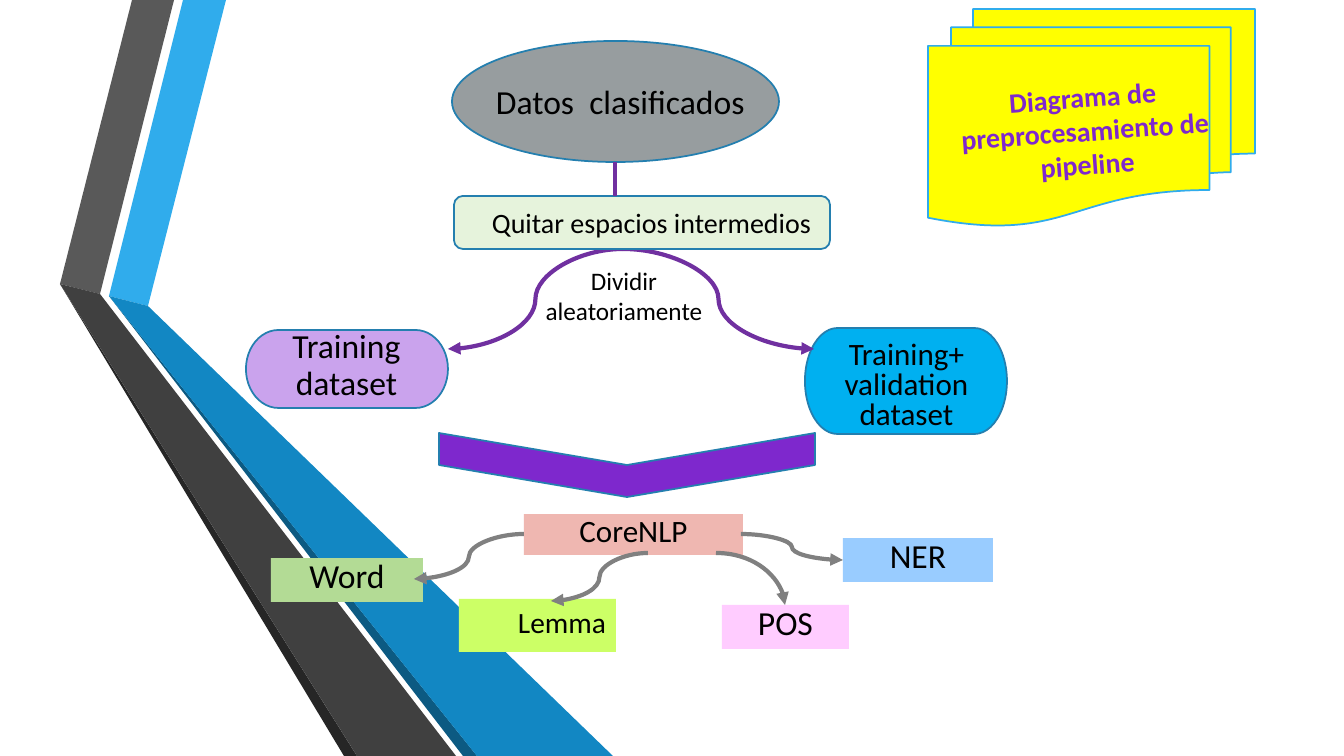
from lxml.etree import SubElement
from pptx import Presentation
from pptx.dml.color import RGBColor
from pptx.enum.shapes import MSO_CONNECTOR as Link, MSO_SHAPE as Shape
from pptx.enum.text import MSO_ANCHOR as Anchor, PP_ALIGN as Align
from pptx.oxml.ns import qn
from pptx.util import Pt

PX = 914400 / 100.8
BORDER = "247FAF"
PURPLE = "7030A0"
GRAY = "808080"

BANDS = [
    ("30ACEC", [(109, 296), (148, 306), (226, 0), (183, 0)]),
    ("595959", [(100, 294), (174, 0), (132, 0), (60, 284)]),
    ("262626", [(60, 284), (344, 756), (357, 756)]),
    ("0C5A82", [(109, 296), (463, 756), (477, 756)]),
    ("1287C3", [(109, 296), (477, 756), (613, 756), (148, 306)]),
    ("404040", [(60, 284), (357, 756), (456, 756), (100, 294)]),
]

STEPS = [
    ("CoreNLP", (524, 514, 219, 41), "EFB7B1", 22.2),
    ("NER", (843, 538, 150, 44), "99CCFF", 24),
    ("POS", (722, 605, 127, 44), "FFCCFF", 24),
    ("Word", (271, 558, 152, 44), "B3DB95", 24),
]


def px(*lengths):
    return [round(length * PX) for length in lengths]


def color(value):
    return RGBColor.from_string(value)


def paint(shape, fill, border=None):
    shape.shadow.inherit = False
    shape.fill.solid()
    shape.fill.fore_color.rgb = color(fill)
    if border:
        shape.line.color.rgb = color(border)
        shape.line.width = Pt(1.25)
    else:
        shape.line.fill.background()
    return shape


def band(slide, fill, points):
    start, *rest = points
    outline = slide.shapes.build_freeform(*start, scale=PX)
    outline.add_line_segments(rest, close=True)
    paint(outline.convert_to_shape(), fill)


def box(slide, kind, place, fill, border=None):
    return paint(slide.shapes.add_shape(kind, *px(*place)), fill, border)


def write(shape, text, size=24, ink="000000", bold=False, align=Align.CENTER,
          spacing=None, before=None, after=None):
    frame = shape.text_frame
    frame.word_wrap = True
    frame.vertical_anchor = Anchor.TOP
    paragraph = frame.paragraphs[0]
    paragraph.alignment = align
    paragraph.line_spacing = spacing
    paragraph.space_before = before
    paragraph.space_after = after
    run = paragraph.add_run()
    run.text = text
    run.font.name = "Calibri"
    run.font.size = Pt(size)
    run.font.bold = bold
    run.font.color.rgb = color(ink)


def label(slide, place, text, **style):
    caption = slide.shapes.add_textbox(*px(*place))
    write(caption, text, **style)
    return caption


def link(slide, kind, ends, ink, arrow=True):
    connector = slide.shapes.add_connector(kind, *px(*ends))
    connector.line.color.rgb = color(ink)
    connector.line.width = Pt(3)
    properties = connector._element.spPr
    if arrow:
        SubElement(properties.find(qn("a:ln")), qn("a:tailEnd"), type="triangle")
    SubElement(properties, qn("a:effectLst"))
    return connector


def draw_split(slide):
    box(slide, Shape.OVAL, (452, 41, 327, 121), "979D9F", BORDER)
    box(slide, Shape.FLOWCHART_TERMINATOR, (805, 328, 202, 106), "00B0F0", BORDER)
    box(slide, Shape.FLOWCHART_TERMINATOR, (246, 330, 202, 78), "CAA3ED", BORDER)
    label(slide, (237, 325, 219, 106), "Training dataset", spacing=0.9, before=Pt(10))
    for end in (448, 814):
        link(slide, Link.CURVE, (623, 249, end, 349), PURPLE)
    label(slide, (528, 260, 192, 72), "Dividir aleatoriamente", size=18)
    box(slide, Shape.ROUNDED_RECTANGLE, (454, 196, 376, 53), "E6F3DC", BORDER)
    label(slide, (486, 76, 311, 50), "Datos  clasificados", align=Align.LEFT)
    label(slide, (482, 201, 356, 44), "Quitar espacios intermedios",
          size=20, align=Align.LEFT)
    link(slide, Link.STRAIGHT, (615, 162, 615, 196), PURPLE, arrow=False)
    label(slide, (797, 337, 219, 106), "Training+ validation dataset",
          size=22.2, spacing=0.8, before=Pt(10))


def draw_pipeline(slide):
    lemma = box(slide, Shape.RECTANGLE, (459, 599, 157, 53), "CCFF66")
    write(lemma, "Lemma", size=21, align=Align.RIGHT, before=Pt(4), after=Pt(6))
    for name, place, fill, size in STEPS:
        step = box(slide, Shape.RECTANGLE, place, fill)
        write(step, name, size=size, spacing=0.8, before=Pt(10))
    chevron = box(slide, Shape.CHEVRON, (595, 277, 64, 376), "7E28CD", BORDER)
    chevron.rotation = 90
    for ends in [(524, 534, 414, 579), (648, 553, 551, 601), (741, 534, 843, 560)]:
        link(slide, Link.CURVE, ends, GRAY)
    to_pos = link(slide, Link.CURVE, (716, 553, 785, 605), GRAY)
    to_pos._element.spPr.find(qn("a:prstGeom")).set("prst", "curvedConnector2")


def draw_title(slide):
    box(slide, Shape.FLOWCHART_MULTIDOCUMENT, (928, 9, 327, 217), "FFFF00", "30ACEC")
    title = label(slide, (907, 75, 356, 112), "Diagrama de preprocesamiento de pipeline",
                  size=20, ink="7E28CD", bold=True)
    title.rotation = 355.8


def main():
    deck = Presentation()
    deck.slide_width, deck.slide_height = px(1344, 756)
    slide = deck.slides.add_slide(deck.slide_layouts[6])
    for fill, points in BANDS:
        band(slide, fill, points)
    draw_split(slide)
    draw_pipeline(slide)
    draw_title(slide)
    deck.save("out.pptx")


if __name__ == "__main__":
    main()
